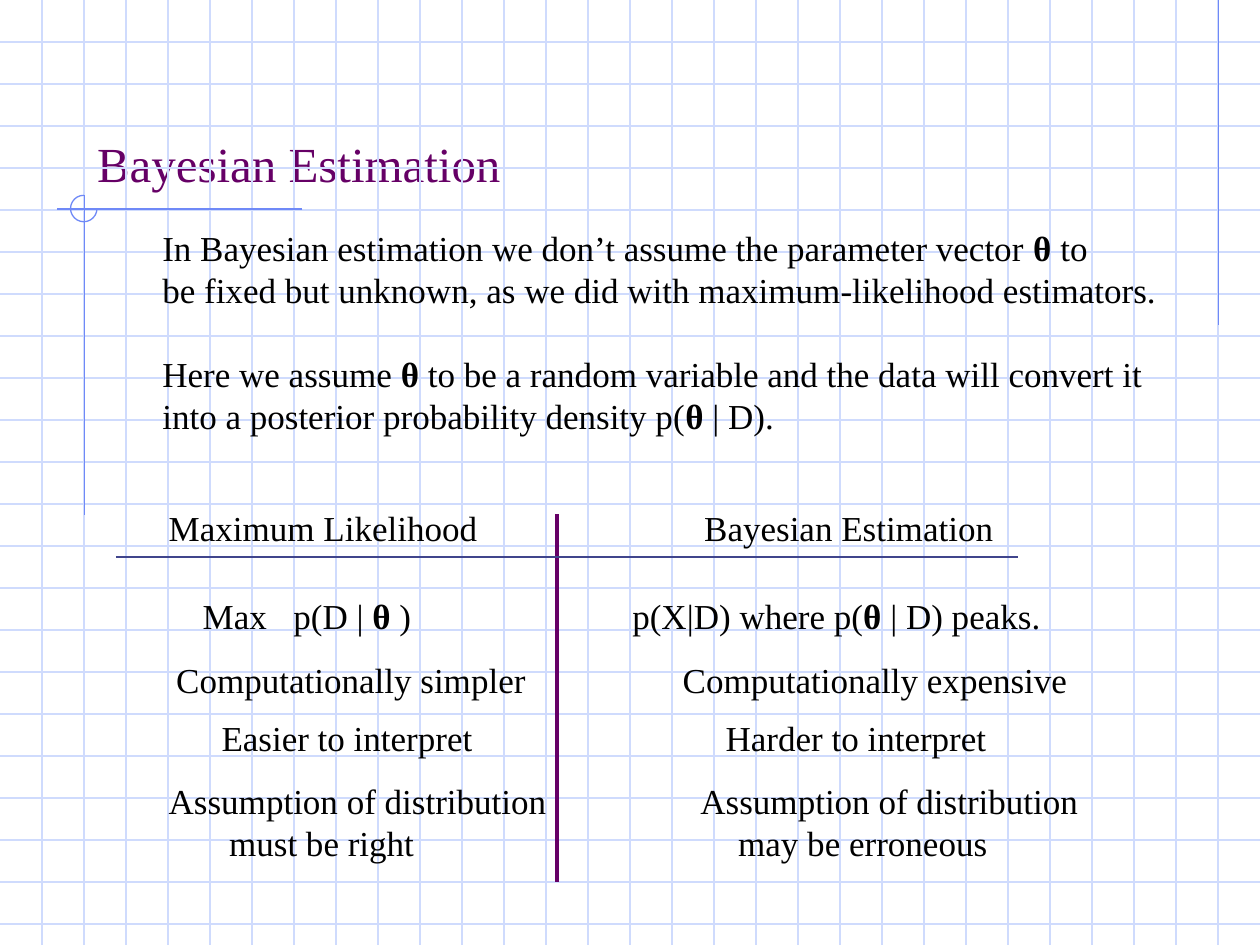
from itertools import groupby

from lxml.etree import SubElement
from pptx import Presentation
from pptx.dml.color import RGBColor
from pptx.enum.shapes import MSO_CONNECTOR, MSO_SHAPE
from pptx.enum.text import MSO_ANCHOR, PP_ALIGN
from pptx.oxml.ns import qn
from pptx.util import Inches, Pt

GRID, ACCENT, PURPLE, NAVY, BLACK = "CFDBFD", "6F89F7", "660066", "40458C", "000000"
color = RGBColor.from_string

deck = Presentation()
deck.slide_width, deck.slide_height = Inches(10), Inches(7.5)
page = deck.slides.add_slide(deck.slide_layouts[5])


def draw_line(x1, y1, x2, y2, hue, width=0.75):
    line = page.shapes.add_connector(
        MSO_CONNECTOR.STRAIGHT, Inches(x1), Inches(y1), Inches(x2), Inches(y2))
    line.line.color.rgb = color(hue)
    line.line.width = Pt(width)
    SubElement(line._element.spPr, qn("a:effectLst"))


def write(box, lines, size=20, hue=BLACK, anchor=MSO_ANCHOR.TOP, pitch=None, tabs=(), gaps=None):
    """Fill a box, one paragraph per line; every θ is bold, gaps maps line number to space before."""
    frame = box.text_frame
    frame.word_wrap = True
    frame.vertical_anchor = anchor
    for number, text in enumerate(lines):
        para = frame.paragraphs[0] if number == 0 else frame.add_paragraph()
        para.alignment = PP_ALIGN.LEFT
        if tabs:
            stops = SubElement(para._p.get_or_add_pPr(), qn("a:tabLst"))
            for stop in tabs:
                SubElement(stops, qn("a:tab"), pos=str(Inches(stop)), algn="l")
        if pitch:
            para.line_spacing = Pt(pitch)
        para.space_before = Pt((gaps or {}).get(number, 0))
        for is_theta, letters in groupby(text, key=lambda letter: letter == "θ"):
            span = para.add_run()
            span.text = "".join(letters)
            span.font.name = "Times New Roman"
            span.font.size = Pt(size)
            span.font.bold = is_theta
            span.font.color.rgb = color(hue)


# Graph paper background
for step in range(1, 23):
    draw_line(0, step / 3, 10, step / 3, GRID)
for step in range(1, 30):
    draw_line(step / 3, 0, step / 3, 7.5, GRID)

# Accent lines and the three-quarter circle beside the title
draw_line(9.67, 0, 9.67, 2.58, ACCENT)
draw_line(2.4, 1.66, 0.45, 1.66, ACCENT)
draw_line(0.67, 1.55, 0.67, 4.09, ACCENT)
arc = page.shapes.add_shape(
    MSO_SHAPE.ARC, Inches(0.56), Inches(1.55), Inches(0.21), Inches(0.21))
arc.adjustments[0], arc.adjustments[1] = 0, 162  # 0 to 270 degrees
arc.shadow.inherit = False
arc.fill.background()
arc.line.color.rgb = color(ACCENT)
arc.line.width = Pt(0.75)

# Title
title = page.shapes.title
title.left, title.top = Inches(0.67), Inches(0.33)
title.width, title.height = Inches(8.5), Inches(1.25)
write(title, ["Bayesian Estimation"], size=28, hue=PURPLE, anchor=MSO_ANCHOR.BOTTOM)

# Introduction
intro = page.shapes.add_textbox(Inches(1.19), Inches(1.75), Inches(8.3), Inches(2.1))
write(intro, [
    "In Bayesian estimation we don’t assume the parameter vector θ to",
    "be fixed but unknown, as we did with maximum-likelihood estimators.",
    "Here we assume θ to be a random variable and the data will convert it",
    "into a posterior probability density p(θ | D).",
], pitch=24, gaps={2: 24})

# Comparison: left, top, width, height, tab stops, lines
rows = [
    (1.24, 3.97, 6.85, 0.44, [4.25], ["Maximum Likelihood\tBayesian Estimation"]),
    (1.51, 4.67, 1.92, 0.44, [0.72], ["Max\tp(D | θ )"]),
    (4.92, 4.67, 3.67, 0.44, [], ["p(X|D) where p(θ | D) peaks."]),
    (1.3, 5.18, 7.38, 0.44, [4.02], ["Computationally simpler\tComputationally expensive"]),
    (1.66, 5.64, 6.45, 0.44, [4], ["Easier to interpret\tHarder to interpret"]),
    (1.24, 6.14, 7.62, 0.77, [0.48, 4.22, 4.52],
     ["Assumption of distribution\tAssumption of distribution",
      "\tmust be right\t\tmay be erroneous"]),
]
for left, top, width, height, tabs, lines in rows:
    box = page.shapes.add_textbox(Inches(left), Inches(top), Inches(width), Inches(height))
    write(box, lines, pitch=24, tabs=tabs)

# Comparison rules
draw_line(4.42, 4.08, 4.42, 7, PURPLE, width=2.25)
draw_line(0.92, 4.42, 8.08, 4.42, NAVY)

deck.save("out.pptx")
